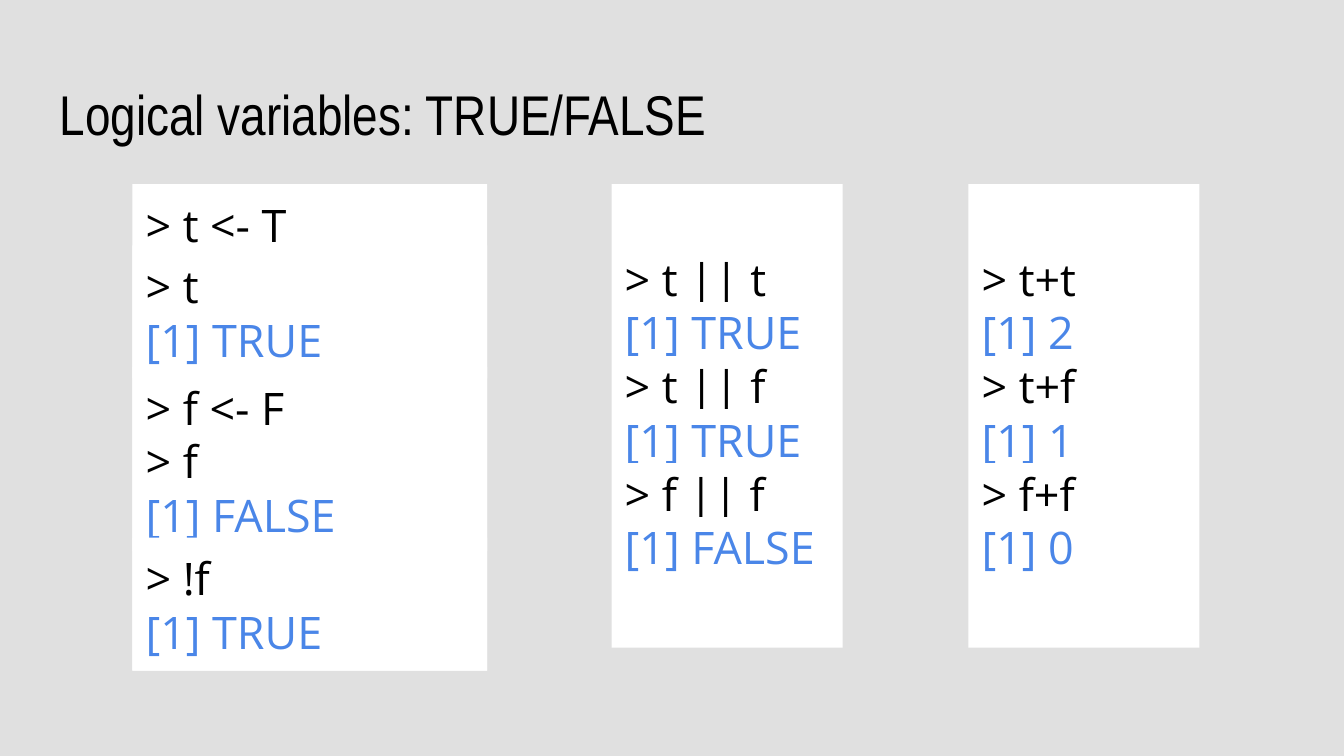
from dataclasses import dataclass

from lxml import etree
from pptx import Presentation
from pptx.dml.color import RGBColor
from pptx.enum.shapes import MSO_SHAPE
from pptx.enum.text import MSO_ANCHOR, PP_ALIGN
from pptx.oxml.ns import qn
from pptx.slide import Slide
from pptx.text.text import TextFrame
from pptx.util import Pt

PX = 4572  # EMU per px, 200 px to the inch
RECTANGLE = MSO_SHAPE.RECTANGLE
TOP = MSO_ANCHOR.TOP
LEFT = PP_ALIGN.LEFT
COLORS = {"background": "E0E0E0", "panel": "FFFFFF", "input": "000000", "output": "4A86E8"}
TITLE_FONT, CODE_FONT = "Arial Narrow", "Open Sans"
INSET = 20
LINE_HEIGHT = 80
CONSOLE_TOP = 274
SESSION_LEFT, SESSION_WIDTH = 197, 528
COLUMN_WIDTH, COLUMN_HEIGHT = 344, 690


@dataclass(frozen=True)
class Console:
    left: int
    top: int
    width: int
    height: int
    lines: tuple[str, ...]
    skipped_lines: int = 0


def session(top: int, height: int, *lines: str) -> Console:
    return Console(SESSION_LEFT, top, SESSION_WIDTH, height, lines)


def column(left: int, *lines: str) -> Console:
    return Console(left, CONSOLE_TOP, COLUMN_WIDTH, COLUMN_HEIGHT, lines, skipped_lines=1)


CONSOLES = (
    column(1441, "> t+t", "[1] 2", "> t+f", "[1] 1", "> f+f", "[1] 0"),
    column(910, "> t || t", "[1] TRUE", "> t || f", "[1] TRUE", "> f || f", "[1] FALSE"),
    session(CONSOLE_TOP, 724, "> t <- T"),
    session(365, 198, "> t", "[1] TRUE"),
    session(546, 274, "> f <- F", "> f", "[1] FALSE"),
    session(800, 198, "> !f", "[1] TRUE"),
)


def color(name: str) -> RGBColor:
    return RGBColor.from_string(COLORS[name])


def set_frame(frame: TextFrame, skipped_lines: int = 0) -> None:
    frame.word_wrap = True
    frame.vertical_anchor = TOP
    frame.margin_left = frame.margin_right = frame.margin_bottom = INSET * PX
    frame.margin_top = (INSET + skipped_lines * LINE_HEIGHT) * PX


def highlight(run, name: str) -> None:
    """Put a text highlight right after the run's fill, where the schema wants it."""
    mark = etree.Element(qn("a:highlight"))
    etree.SubElement(mark, qn("a:srgbClr"), val=COLORS[name])
    run.font._element.find(qn("a:solidFill")).addnext(mark)


def draw_title(slide: Slide, title: str) -> None:
    heading = slide.shapes.add_textbox(69 * PX, 98 * PX, 1864 * PX, 126 * PX)
    set_frame(heading.text_frame)
    heading.text_frame.text = title
    font = heading.text_frame.paragraphs[0].runs[0].font
    font.name, font.size = TITLE_FONT, Pt(30)
    font.color.rgb = color("input")


def draw_console(slide: Slide, console: Console) -> None:
    panel = slide.shapes.add_shape(
        RECTANGLE, console.left * PX, console.top * PX, console.width * PX, console.height * PX
    )
    panel.shadow.inherit = False
    panel.fill.solid()
    panel.fill.fore_color.rgb = color("panel")
    panel.line.fill.background()
    set_frame(panel.text_frame, console.skipped_lines)
    panel.text_frame.text = "\n".join(console.lines)
    for paragraph in panel.text_frame.paragraphs:
        paragraph.alignment = LEFT
        for run in paragraph.runs:
            run.font.name, run.font.size = CODE_FONT, Pt(24)
            run.font.color.rgb = color("input" if run.text.startswith(">") else "output")
            highlight(run, "panel")


def main() -> None:
    presentation = Presentation()
    presentation.slide_width, presentation.slide_height = 2000 * PX, 1125 * PX
    slide = presentation.slides.add_slide(presentation.slide_layouts[6])
    slide.background.fill.solid()
    slide.background.fill.fore_color.rgb = color("background")
    draw_title(slide, "Logical variables: TRUE/FALSE")
    for console in CONSOLES:
        draw_console(slide, console)
    presentation.save("out.pptx")


if __name__ == "__main__":
    main()
